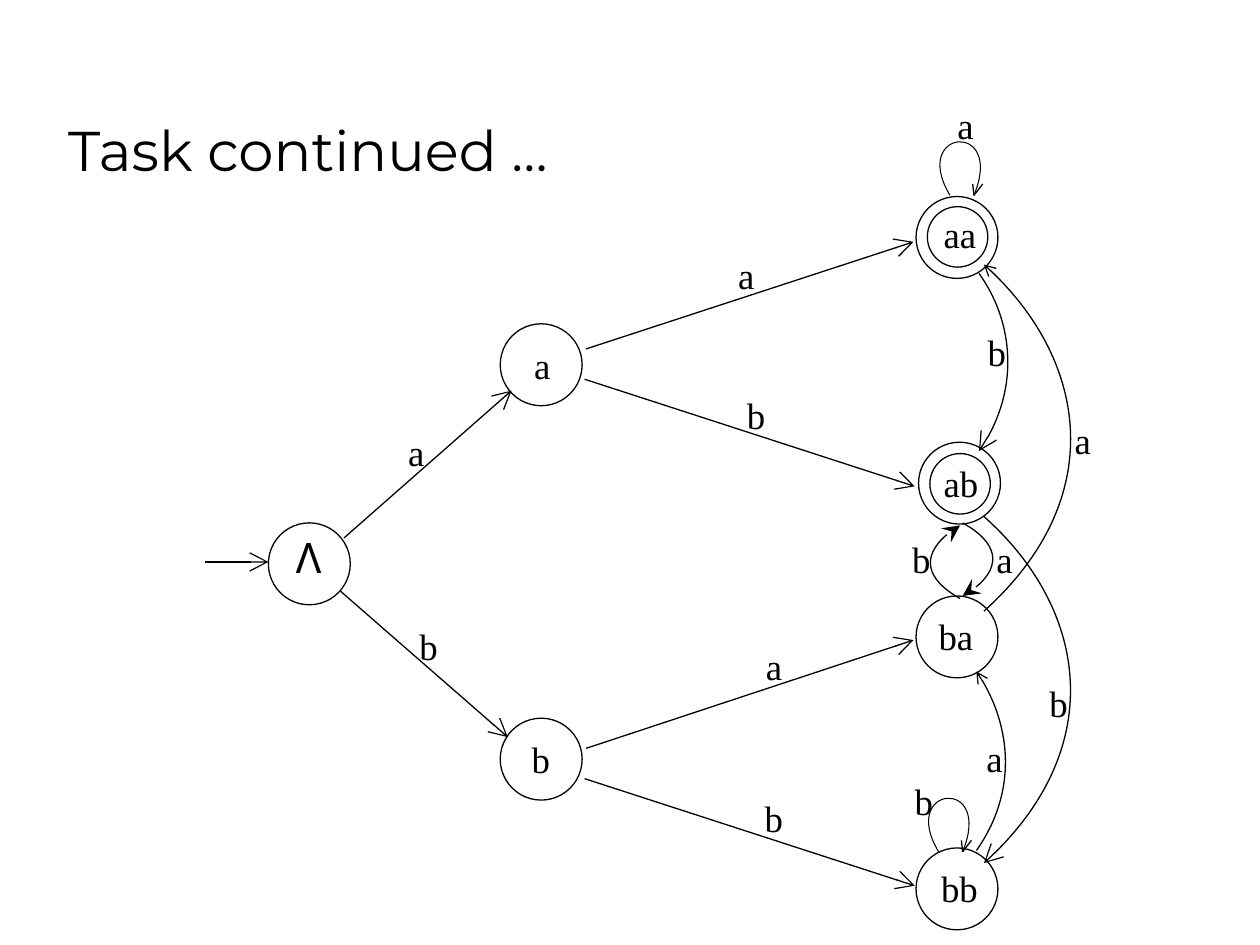
from pptx import Presentation
from pptx.dml.color import RGBColor
from pptx.enum.shapes import MSO_CONNECTOR, MSO_SHAPE
from pptx.enum.text import MSO_ANCHOR, PP_ALIGN
from pptx.oxml.ns import qn
from pptx.util import Inches, Pt
from lxml.etree import SubElement

BLACK, WHITE = "000000", "FFFFFF"
OUTER, INNER = 0.65, 0.48

# States: left, top of the outer circle
STATES = [(2.13, 4.15), (3.97, 5.7), (3.97, 2.57), (7.27, 1.56),
          (7.27, 4.73), (7.27, 6.73), (7.29, 3.51)]
# Accepting states: left, top of the inner circle
ACCEPTING = [(7.36, 1.64), (7.38, 3.6)]

# Arrowheads: type, size
WIDE, SMALL, SOLID = ("arrow", "lg"), ("arrow", "med"), ("stealth", "lg")

# Straight transitions: from, to
STRAIGHT = [((1.63, 4.46), (2.13, 4.46)), ((2.73, 4.27), (4.06, 3.1)),
            ((2.7, 4.69), (4.03, 5.85)), ((4.65, 2.77), (7.25, 1.92)),
            ((4.64, 3.01), (7.26, 3.86)), ((4.65, 5.94), (7.25, 5.08)),
            ((4.64, 6.18), (7.26, 7.03))]

# Curved transitions: arrowhead, then start, two control points, end
CURVED = [(SMALL, [(7.75, 6.75), (8.08, 6.28), (8.01, 5.7), (7.75, 5.33)]),
          (WIDE, [(7.77, 2.17), (8.03, 2.53), (8.1, 3.12), (7.77, 3.58)]),
          (WIDE, [(7.81, 4.1), (8.61, 4.81), (8.81, 5.95), (7.81, 6.85)]),
          (SMALL, [(7.81, 4.85), (8.81, 3.95), (8.61, 2.81), (7.81, 2.1)]),
          (SOLID, [(7.64, 4.15), (7.91, 4.3), (7.98, 4.54), (7.64, 4.73)]),
          (SOLID, [(7.62, 4.75), (7.35, 4.6), (7.29, 4.36), (7.62, 4.17)])]

# Self loops: start point, with the shape given as offsets from it
LOOPS = [(7.54, 1.55), (7.45, 6.76)]
LOOP_CURVE = [(0, 0), (-0.32, -0.53), (0.44, -0.6), (0.19, 0)]
LOOP_BARBS = [[(0.19, 0), (0.26, -0.09)], [(0.18, -0.09), (0.19, 0)]]

# Labels: text, left, top
STATE_LABELS = [("Λ", 2.25, 4.17), ("a", 4.14, 2.67), ("b", 4.12, 5.8), ("aa", 7.39, 1.63),
                ("ab", 7.39, 3.61), ("ba", 7.35, 4.82), ("bb", 7.37, 6.82)]
EDGE_LABELS = {
    "a": [(7.5, 0.77), (8.43, 3.27), (5.98, 5.06), (7.73, 5.79),
          (3.14, 3.36), (5.76, 1.96), (7.81, 4.21)],
    "b": [(5.97, 6.27), (7.74, 2.57), (5.83, 3.07), (3.23, 4.9),
          (7.16, 6.13), (8.23, 5.35), (7.14, 4.21)],
}


def rgb(color):
    return RGBColor.from_string(color)


def style_line(sp, width=0.75, head=None):
    sp.line.color.rgb = rgb(BLACK)
    sp.line.width = Pt(width)
    if head:
        kind, size = head
        SubElement(sp.line._get_or_add_ln(), qn("a:tailEnd"), type=kind, w=size, len=size)


def style_text(tf, size, font):
    for r in tf.paragraphs[0].runs:
        r.font.size = Pt(size)
        r.font.name = font
        r.font.color.rgb = rgb(BLACK)


def circle(left, top, size):
    sp = s.shapes.add_shape(MSO_SHAPE.OVAL, *map(Inches, (left, top, size, size)))
    sp.shadow.inherit = False
    sp.fill.solid()
    sp.fill.fore_color.rgb = rgb(WHITE)
    style_line(sp)


def straight(start, end, head=None):
    cx = s.shapes.add_connector(MSO_CONNECTOR.STRAIGHT, *map(Inches, start + end))
    style_line(cx, head=head)
    SubElement(cx._element.spPr, qn("a:effectLst"))


def curve(points, width=0.75, head=None):
    start, *rest = [(Inches(x), Inches(y)) for x, y in points]
    fb = s.shapes.build_freeform(*start)
    fb.add_line_segments(rest, close=False)
    sp = fb.convert_to_shape()
    sp.shadow.inherit = False
    sp.fill.background()
    style_line(sp, width, head)
    # Turn the three segments into one cubic Bézier
    outline = sp._element.xpath(".//a:path")[0]
    segments = outline.findall(qn("a:lnTo"))
    bezier = SubElement(outline, qn("a:cubicBezTo"))
    for segment in segments:
        bezier.append(segment[0])
        outline.remove(segment)


def label(text, left, top):
    tf = s.shapes.add_textbox(*map(Inches, (left, top, 0.98, 0.68))).text_frame
    tf.word_wrap = True
    tf.text = text
    style_text(tf, *((24, "Karla") if text == "Λ" else (21, "Times New Roman")))


def shifted(points, origin):
    return [(round(origin[0] + x, 2), round(origin[1] + y, 2)) for x, y in points]


prs = Presentation()
prs.slide_width, prs.slide_height = Inches(10), Inches(7.5)
s = prs.slides.add_slide(prs.slide_layouts[5])

# Title
title = s.shapes.title
title.left, title.top, title.width, title.height = map(Inches, (0.44, 0.25, 8.5, 1.25))
tf = title.text_frame
tf.text = "Task continued …"
tf.vertical_anchor = MSO_ANCHOR.BOTTOM
tf.paragraphs[0].alignment = PP_ALIGN.LEFT
style_text(tf, 32, "Montserrat")

# States
for left, top in STATES:
    circle(left, top, OUTER)
for left, top in ACCEPTING:
    circle(left, top, INNER)

# Transitions
for start, end in STRAIGHT:
    straight(start, end, WIDE)
for head, points in CURVED:
    curve(points, head=head)
for origin in LOOPS:
    curve(shifted(LOOP_CURVE, origin), width=0.6)
    for barb in LOOP_BARBS:
        straight(*shifted(barb, origin))

# Labels
for text, left, top in STATE_LABELS:
    label(text, left, top)
for text, places in EDGE_LABELS.items():
    for left, top in places:
        label(text, left, top)

prs.save("out.pptx")
